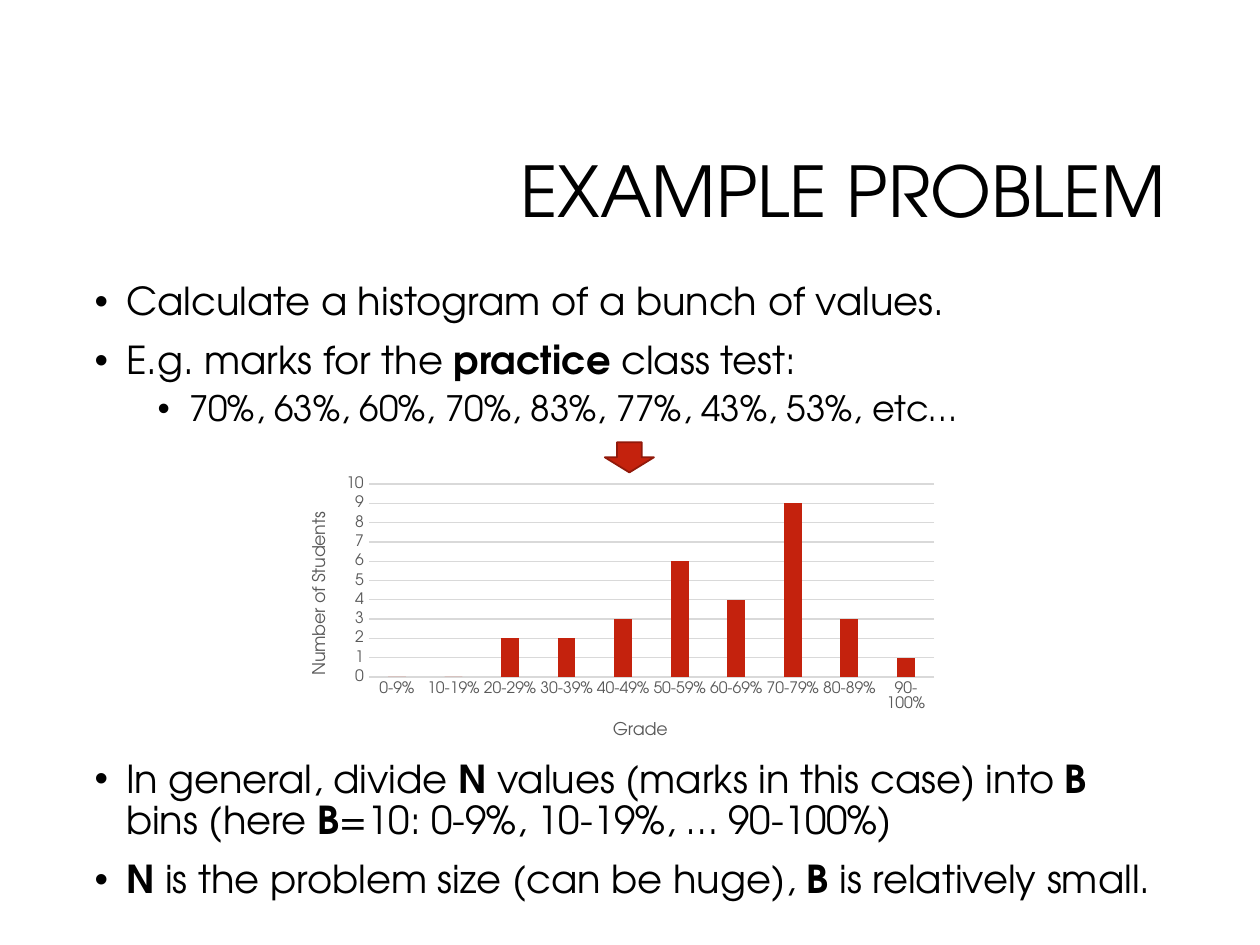
"""Build a slide that introduces the histogram example problem."""
from lxml import etree
from pptx import Presentation
from pptx.chart.data import CategoryChartData
from pptx.dml.color import RGBColor
from pptx.enum.chart import XL_CHART_TYPE as ChartType, XL_TICK_MARK as TickMark
from pptx.enum.shapes import MSO_SHAPE as Shape
from pptx.enum.text import MSO_ANCHOR as Anchor, MSO_AUTO_SIZE as AutoSize, PP_ALIGN as Align
from pptx.oxml import parse_xml
from pptx.oxml.ns import nsdecls, qn
from pptx.util import Inches, Pt

FONT = "TeX Gyre Adventor"
RED, GREY, PALE = "C4220D", "595959", "D9D9D9"


def color(value):
    """Return the colour for a hex string."""
    return RGBColor.from_string(value)


def style(font, size, value="000000", bold=False):
    """Format a font with the slide's typeface."""
    font.name, font.size, font.bold = FONT, Pt(size), bold
    font.color.rgb = color(value)


deck = Presentation()
deck.slide_width, deck.slide_height = Inches(10), Inches(7.5)
page = deck.slides.add_slide(deck.slide_layouts[3])
title, problem, general = page.placeholders

title.left, title.top, title.width, title.height = map(Inches, (2.38, 0.84, 6.97, 1.41))
title.text_frame.text = "EXAMPLE PROBLEM"
title.text_frame.auto_size = AutoSize.NONE
title.text_frame.vertical_anchor = Anchor.MIDDLE
heading = title.text_frame.paragraphs[0]
heading.alignment, heading.line_spacing = Align.RIGHT, 0.9
style(heading.runs[0].font, 40)

lists = [
    (problem, 2.19, 1.43, [
        (0, "Calculate a histogram of a bunch of values."),
        (0, "E.g. marks for the **practice** class test:"),
        (1, "70%, 63%, 60%, 70%, 83%, 77%, 43%, 53%, etc…"),
    ]),
    (general, 5.98, 1.31, [
        (0, "In general, divide **N** values (marks in this case) into **B** bins "
            "(here **B**=10: 0-9%, 10-19%, … 90-100%)"),
        (0, "**N** is the problem size (can be huge), **B** is relatively small."),
    ]),
]
for box, top, height, items in lists:
    box.left, box.top, box.width, box.height = map(Inches, (0.65, top, 8.7, height))
    frame = box.text_frame
    frame.auto_size = AutoSize.NONE
    for index, (level, text) in enumerate(items):
        para = frame.add_paragraph() if index else frame.paragraphs[0]
        para.level, para.line_spacing = level, 0.9
        para.space_before = Pt(5 if level else 10)
        for part, words in enumerate(text.split("**")):
            if words:
                span = para.add_run()
                span.text = words
                style(span.font, 20 if level else 22, bold=part % 2 == 1)
        properties = para._p.get_or_add_pPr()
        properties.set("marL", str(Inches(0.25 + 0.5 * level)))
        properties.set("indent", str(Inches(-0.25)))
        etree.SubElement(properties, qn("a:buChar")).set("char", "•")

data = CategoryChartData()
data.categories = [f"{low}-{low + 9}%" for low in range(0, 90, 10)] + ["90-100%"]
data.add_series("Series 1", (0, 0, 2, 2, 3, 6, 4, 9, 3, 1))
chart = page.shapes.add_chart(
    ChartType.COLUMN_CLUSTERED, *map(Inches, (2.24, 3.75, 5.28, 2.32)), data).chart
chart.has_legend = chart.has_title = False
style(chart.font, 10)

plot = chart.plots[0]
plot.gap_width, plot.overlap, plot.vary_by_categories = 219, -27, False
bars = plot.series[0].format.fill
bars.solid()
bars.fore_color.rgb = color(RED)

for axis, label in ((chart.category_axis, "Grade"), (chart.value_axis, "Number of Students")):
    axis.major_tick_mark = axis.minor_tick_mark = TickMark.NONE
    style(axis.tick_labels.font, 9, GREY)
    axis.axis_title.text_frame.text = label
    style(axis.axis_title.text_frame.paragraphs[0].runs[0].font, 10, GREY)

scale = chart.value_axis
scale.minimum_scale, scale.maximum_scale, scale.major_unit = 0, 10, 1
scale.format.line.fill.background()
for line in (chart.category_axis.format.line, scale.major_gridlines.format.line):
    line.color.rgb, line.width = color(PALE), Pt(0.75)

area = chart._chartSpace.chart.plotArea
for layout in area.findall(qn("c:layout")):
    area.remove(layout)
bounds = "".join(f'<c:{key} val="{value}"/>' for key, value in (
    ("layoutTarget", "inner"), ("xMode", "edge"), ("yMode", "edge"),
    ("x", 0.13), ("y", 0.04), ("w", 0.85), ("h", 0.66)))
area.insert(0, parse_xml(
    f'<c:layout {nsdecls("c")}><c:manualLayout>{bounds}</c:manualLayout></c:layout>'))

arrow = page.shapes.add_shape(Shape.DOWN_ARROW, *map(Inches, (4.8, 3.51, 0.39, 0.24)))
arrow.shadow.inherit = False
arrow.fill.solid()
arrow.fill.fore_color.rgb = color(RED)
arrow.line.color.rgb, arrow.line.width = color("91190A"), Pt(1)

deck.save("out.pptx")
